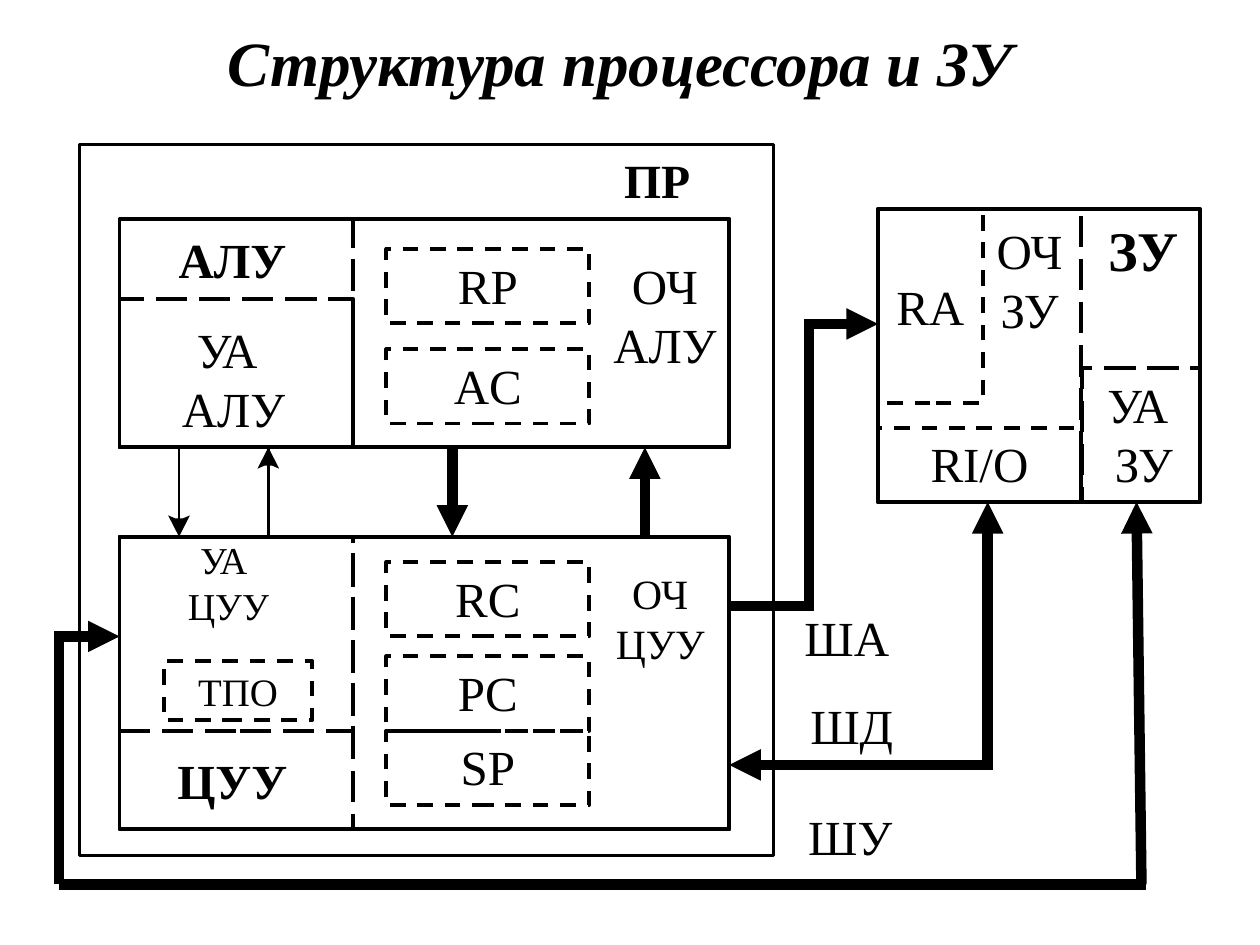
from lxml import etree
from pptx import Presentation
from pptx.dml.color import RGBColor
from pptx.enum.dml import MSO_LINE
from pptx.enum.shapes import MSO_CONNECTOR, MSO_SHAPE
from pptx.enum.text import MSO_ANCHOR, MSO_AUTO_SIZE, PP_ALIGN
from pptx.oxml.ns import qn
from pptx.util import Cm, Pt

RECTANGLE = MSO_SHAPE.RECTANGLE
STRAIGHT = MSO_CONNECTOR.STRAIGHT
DASH = MSO_LINE.DASH
LONG_DASH = MSO_LINE.LONG_DASH
TOP = MSO_ANCHOR.TOP
MIDDLE = MSO_ANCHOR.MIDDLE
CENTER = PP_ALIGN.CENTER
NO_AUTOFIT = MSO_AUTO_SIZE.NONE

FONT = "Times New Roman"
BLACK = "000000"
BUS = 6
SIGNAL = 1.39
REGISTER_HEIGHT = 1.5

PROCESSOR = (1.6, 2.92, 14, 14.33)
ALU = (2.41, 4.42, 12.29, 4.6)
CONTROL = (2.41, 10.82, 12.29, 5.9)
MEMORY = (17.7, 4.22, 6.5, 5.9)


def color(value):
    """Turn a hex string into a colour."""
    return RGBColor.from_string(value)


def place(box, left, top, width, height):
    """Return slide lengths for a part measured in cm from the corner of box."""
    return Cm(box[0] + left), Cm(box[1] + top), Cm(width), Cm(height)


def write(frame, text, size, bold=False, italic=False, anchor=TOP):
    """Fill a text frame with centred paragraphs."""
    frame.auto_size = NO_AUTOFIT
    frame.word_wrap = True
    frame.vertical_anchor = anchor
    for index, line in enumerate(text.split("\n")):
        para = frame.add_paragraph() if index else frame.paragraphs[0]
        para.alignment = CENTER
        span = para.add_run()
        span.text = line
        font = span.font
        font.name, font.size = FONT, Pt(size)
        font.bold, font.italic = bold, italic
        font.color.rgb = color(BLACK)


def add_label(page, box, part, text, size=28, bold=False, anchor=TOP):
    """Place free text inside a box."""
    label = page.shapes.add_textbox(*place(box, *part))
    write(label.text_frame, text, size, bold, anchor=anchor)


def add_frame(page, box, part, dash=None, width=2.25, text="", size=28, anchor=TOP):
    """Outline a part of a box, with optional text."""
    frame = page.shapes.add_shape(RECTANGLE, *place(box, *part))
    frame.shadow.inherit = False
    frame.fill.background()
    frame.line.color.rgb = color(BLACK)
    frame.line.width = Pt(width)
    if dash is not None:
        frame.line.dash_style = dash
    if text:
        write(frame.text_frame, text, size, anchor=anchor)


def add_registers(page, box, registers):
    """Stack the dashed register boxes of an operating part."""
    for name, top in registers:
        add_frame(page, box, (5.38, top, 4.09, REGISTER_HEIGHT), DASH, text=name)


def add_line(page, start, end, width=BUS, arrow=False):
    """Draw a line, with an arrowhead at its end if asked."""
    line = page.shapes.add_connector(STRAIGHT, *(Cm(value) for value in start + end))
    line.line.color.rgb = color(BLACK)
    line.line.width = Pt(width)
    if arrow:
        tail = etree.SubElement(line.line._get_or_add_ln(), qn("a:tailEnd"))
        tail.set("type", "triangle")
    etree.SubElement(line._element.spPr, qn("a:effectLst"))


def add_signal(page, x, start, end):
    """Draw a thin vertical line with a notched arrowhead at its end."""
    add_line(page, (x, start), (x, end), SIGNAL)
    back = -1 if end > start else 1
    builder = page.shapes.build_freeform(Cm(x), Cm(end))
    points = [(-0.22, 0.43), (-0.08, 0.37), (0.08, 0.37), (0.22, 0.43)]
    builder.add_line_segments(
        [(Cm(x + across), Cm(end + back * along)) for across, along in points], close=True)
    head = builder.convert_to_shape()
    head.shadow.inherit = False
    head.fill.solid()
    head.fill.fore_color.rgb = color(BLACK)
    head.line.fill.background()


def add_title(page, box):
    """Set the slide title."""
    title = page.shapes.title
    title.left, title.top, title.width, title.height = place(box, 0, 0, *box[2:])
    write(title.text_frame, "Структура процессора и ЗУ", 36, True, True, MIDDLE)


def add_processor(page, box):
    """Draw the processor outline and its name."""
    add_frame(page, box, (0, 0, *box[2:]), width=1.5)
    add_label(page, box, (9.9, 0, 3.5, 1.5), "ПР", 27.2, True)


def add_alu(page, box):
    """Draw the arithmetic logic unit."""
    add_frame(page, box, (0, 1.6, 4.7, 3), LONG_DASH)
    add_frame(page, box, (4.7, 0, 7.59, 4.6), LONG_DASH)
    add_label(page, box, (9.6, 0.6, 2.79, 2.8), "ОЧ АЛУ")
    add_label(page, box, (0.18, 0, 4.19, 1.6), "АЛУ", bold=True, anchor=MIDDLE)
    add_registers(page, box, [("RP", 0.6), ("AC", 2.62)])
    add_label(page, box, (0.2, 1.9, 4.19, 2.7), "УА \nАЛУ")
    add_frame(page, box, (0, 0, *box[2:]))


def add_control(page, box):
    """Draw the central control unit."""
    add_frame(page, box, (0, 0, 4.7, 3.91), LONG_DASH)
    add_frame(page, box, (4.7, 0, 7.59, 5.9), LONG_DASH)
    add_label(page, box, (9.4, 0.51, 3, 2.39), "ОЧ ЦУУ", 23.8)
    add_registers(page, box, [("RС", 0.51), ("PC", 2.41), ("SP", 3.91)])
    add_label(page, box, (0.1, -0.13, 4.19, 2.2), "УА \nЦУУ", 21.7)
    add_frame(page, box, (0.89, 2.51, 3, 1.19), DASH, text="ТПО", size=22.2)
    add_label(page, box, (0.18, 4.11, 4.19, 1.6), "ЦУУ", bold=True, anchor=MIDDLE)
    add_frame(page, box, (0, 0, *box[2:]))


def add_memory(page, box):
    """Draw the memory unit."""
    add_frame(page, box, (0, 0, 4.09, 5.9), LONG_DASH)
    add_frame(page, box, (0, 0, *box[2:]))
    add_label(page, box, (2, 0.1, 2.11, 2.69), "ОЧ\nЗУ")
    add_label(page, box, (4.11, 0, 2.49, 1.6), "ЗУ", 32, True, MIDDLE)
    add_frame(page, box, (0, 0, 2.11, 3.91), DASH, text="RA", anchor=MIDDLE)
    add_frame(page, box, (0, 4.4, 4.09, REGISTER_HEIGHT), DASH, text="RI/O")
    add_label(page, box, (3.91, 3.2, 2.9, 2.69), "УА \nЗУ")
    add_frame(page, box, (4.11, 3.2, 2.39, 2.7), LONG_DASH)


def add_inner_links(page, upper, lower):
    """Link the two units of the processor."""
    top, bottom = upper[1] + upper[3], lower[1]
    add_signal(page, 3.61, top, bottom)
    add_signal(page, 5.41, bottom, top)
    add_line(page, (9.12, top), (9.12, bottom), arrow=True)
    add_line(page, (13, bottom), (13, top), arrow=True)


def add_buses(page, control, memory):
    """Draw the address, data and control buses with their names."""
    right = control[0] + control[2]
    bottom = memory[1] + memory[3]
    segments = [
        ((right, 12.22), (16.41, 12.22), False),
        ((16.31, 6.53), (16.31, 12.22), False),
        ((16.2, 6.53), (memory[0], 6.53), True),
        ((20.02, 15.42), (right, 15.42), True),
        ((19.91, 15.52), (19.91, bottom), True),
        ((1.09, 12.83), (control[0], 12.83), True),
        ((1.19, 12.73), (1.19, 17.83), False),
        ((1.19, 17.83), (23.11, 17.83), False),
        ((23.01, 17.83), (22.91, bottom), True),
    ]
    for start, end, arrow in segments:
        add_line(page, start, end, arrow=arrow)
    for name, left, top in [("ША", 0.62, 1.3), ("ШД", 0.72, 3.07), ("ШУ", 0.69, 5.31)]:
        add_label(page, (right, control[1]), (left, top, 3.5, 1.5), name)


def main():
    """Build and save the deck."""
    deck = Presentation()
    deck.slide_width, deck.slide_height = Cm(25.4), Cm(19.05)
    page = deck.slides.add_slide(deck.slide_layouts[5])
    add_title(page, (0, 0, 25, 2.49))
    add_processor(page, PROCESSOR)
    add_alu(page, ALU)
    add_control(page, CONTROL)
    add_memory(page, MEMORY)
    add_inner_links(page, ALU, CONTROL)
    add_buses(page, CONTROL, MEMORY)
    deck.save("out.pptx")


if __name__ == "__main__":
    main()
